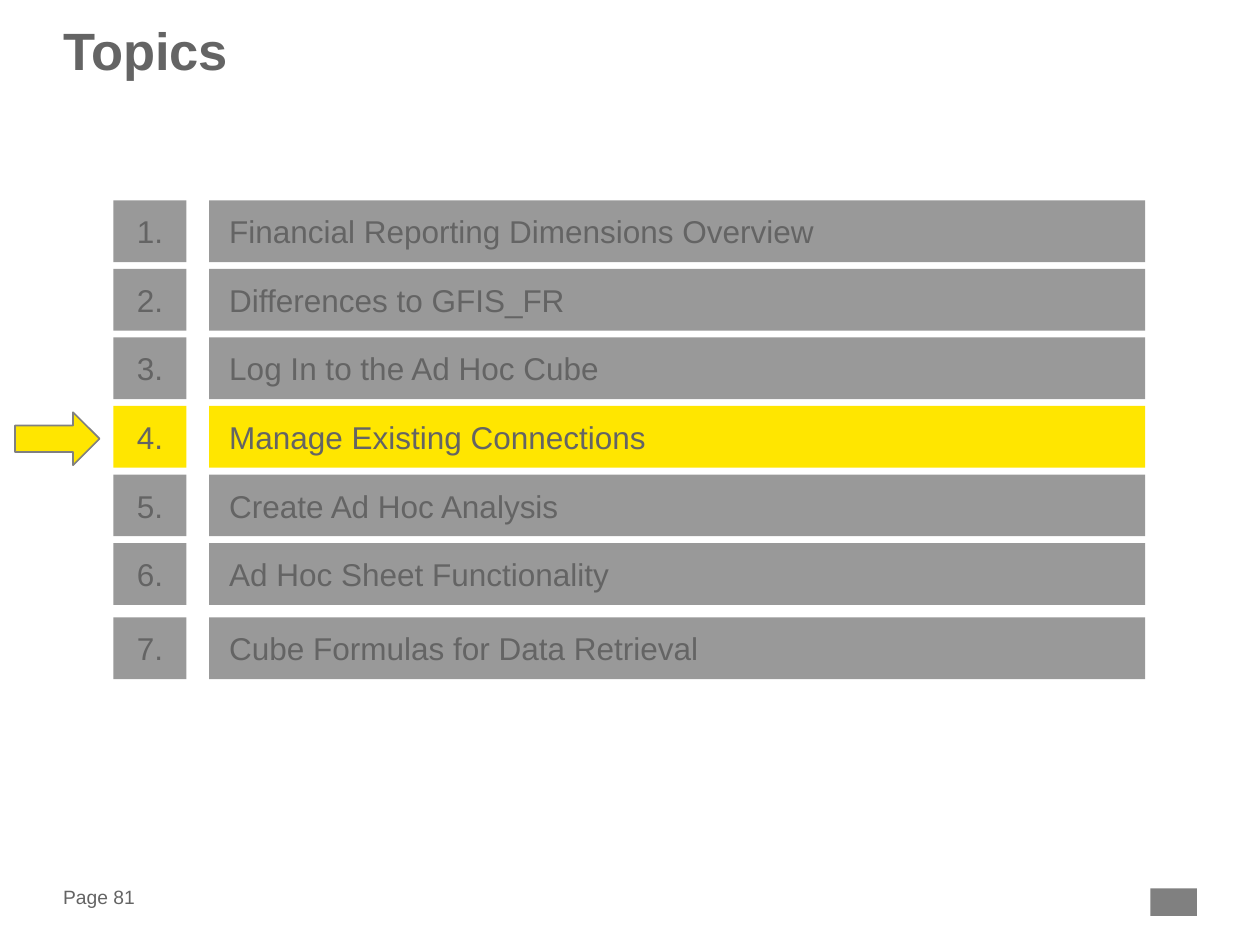
from pptx import Presentation
from pptx.dml.color import RGBColor
from pptx.enum.shapes import MSO_SHAPE
from pptx.enum.text import MSO_ANCHOR, PP_ALIGN
from pptx.util import Inches, Pt

RECTANGLE, RIGHT_ARROW = MSO_SHAPE.RECTANGLE, MSO_SHAPE.RIGHT_ARROW
TOP, MIDDLE = MSO_ANCHOR.TOP, MSO_ANCHOR.MIDDLE
LEFT, CENTER = PP_ALIGN.LEFT, PP_ALIGN.CENTER

TEXT_GRAY = RGBColor(0x64, 0x64, 0x64)
BAR_GRAY = RGBColor(0x99, 0x99, 0x99)
MARK_GRAY = RGBColor(0x80, 0x80, 0x80)
YELLOW = RGBColor(0xFF, 0xE6, 0x00)

TOPICS = [
    "Financial Reporting Dimensions Overview",
    "Differences to GFIS_FR",
    "Log In to the Ad Hoc Cube",
    "Manage Existing Connections",
    "Create Ad Hoc Analysis",
    "Ad Hoc Sheet Functionality",
    "Cube Formulas for Data Retrieval",
]
CURRENT_TOPIC = 4


def write(shape, text, size, align=LEFT, anchor=MIDDLE, inset_x=0, inset_y=0, bold=False):
    frame = shape.text_frame
    frame.text = text
    frame.word_wrap = True
    frame.vertical_anchor = anchor
    frame.margin_left = frame.margin_right = Inches(inset_x)
    frame.margin_top = frame.margin_bottom = Inches(inset_y)
    paragraph = frame.paragraphs[0]
    paragraph.alignment = align
    font = paragraph.runs[0].font
    font.name, font.size, font.bold = "Arial", Pt(size), bold
    font.color.rgb = TEXT_GRAY


def add_block(slide, kind, left, top, width, height, fill):
    block = slide.shapes.add_shape(
        kind, Inches(left), Inches(top), Inches(width), Inches(height))
    block.shadow.inherit = False
    block.fill.solid()
    block.fill.fore_color.rgb = fill
    block.line.fill.background()
    return block


def add_title(slide, left, top, width, height):
    title = slide.shapes.title
    title.left, title.top = Inches(left), Inches(top)
    title.width, title.height = Inches(width), Inches(height)
    write(title, "Topics", 30, anchor=TOP, bold=True)
    title.text_frame.paragraphs[0].line_spacing = 0.85


def add_topic_row(slide, number, topic, left, top, width, height):
    number_width, gap = 0.58, 0.18
    fill = YELLOW if number == CURRENT_TOPIC else BAR_GRAY
    number_box = add_block(slide, RECTANGLE, left, top, number_width, height, fill)
    write(number_box, f"{number}.", 18, CENTER, inset_x=0.09, inset_y=0.04)
    offset = number_width + gap
    topic_bar = add_block(slide, RECTANGLE, left + offset, top, width - offset, height, fill)
    write(topic_bar, topic, 18, inset_x=0.16, inset_y=0.04)


def add_agenda(slide, left, top, width, height):
    row_height, row_gap, last_gap = 0.49, 0.05, 0.1
    last = len(TOPICS)
    last_top = top + height - row_height
    pitch = (last_top - last_gap - row_height - top) / (last - 2)
    for number, topic in enumerate(TOPICS, 1):
        row_top = last_top if number == last else top + (number - 1) * pitch
        add_topic_row(slide, number, topic, left, row_top, width, row_height)
        if number == CURRENT_TOPIC:
            pointer = add_block(
                slide, RIGHT_ARROW, 0.12, row_top + row_gap, 0.67, 0.42, YELLOW)
            pointer.line.color.rgb = MARK_GRAY
            pointer.line.width = Pt(1)


def add_footer(slide, left, top, width, height):
    page_number = slide.shapes.add_textbox(
        Inches(left), Inches(top), Inches(0.79), Inches(height))
    write(page_number, "Page 81", 11)
    mark_width = 0.37
    add_block(slide, RECTANGLE, left + width - mark_width, top + 0.04,
              mark_width, height, MARK_GRAY)


def main():
    presentation = Presentation()
    presentation.slide_width, presentation.slide_height = Inches(10), Inches(7.5)
    slide = presentation.slides.add_slide(presentation.slide_layouts[5])
    add_title(slide, 0.5, 0.22, 9, 0.94)
    add_agenda(slide, 0.9, 1.59, 8.19, 3.8)
    add_footer(slide, 0.5, 7.01, 9, 0.22)
    presentation.save("out.pptx")


if __name__ == "__main__":
    main()
